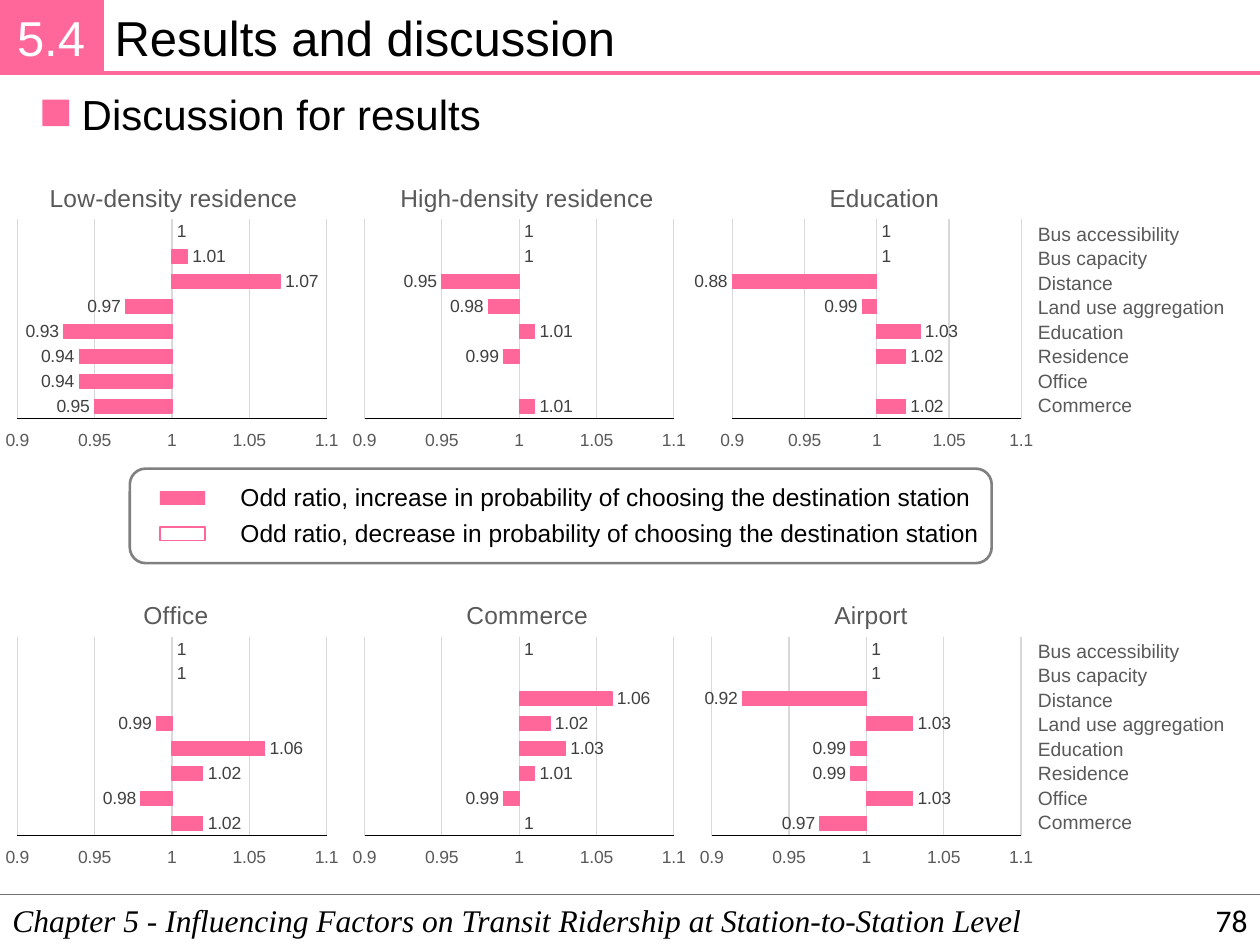
from dataclasses import dataclass
from typing import Optional

from lxml.etree import SubElement
from pptx import Presentation
from pptx.chart.data import CategoryChartData
from pptx.dml.color import RGBColor
from pptx.enum.chart import XL_CHART_TYPE, XL_LABEL_POSITION, XL_TICK_LABEL_POSITION, XL_TICK_MARK
from pptx.enum.shapes import MSO_CONNECTOR, MSO_SHAPE
from pptx.enum.text import MSO_ANCHOR, MSO_AUTO_SIZE, PP_ALIGN
from pptx.oxml.ns import qn
from pptx.util import Pt

COLORS = {
    "pink": "FF6699", "black": "000000", "white": "FFFFFF", "rule": "767171",
    "frame": "808080", "axis text": "595959", "label": "404040", "grid": "D9D9D9",
}
FACTORS = ["Bus accessibility", "Bus capacity", "Distance", "Land use aggregation",
           "Education", "Residence", "Office", "Commerce"]
CHART_WIDTH, CHART_HEIGHT = 198.6, 170
CHART_PITCH = 198.4
ROW_TOPS = (91.4, 329.8)
FACTOR_LEFT, FACTOR_OFFSET, FACTOR_PITCH = 586, 31.8, 14


@dataclass
class TextStyle:
    size: float
    color: str = "black"
    font: str = "Arial"
    italic: bool = False
    align: PP_ALIGN = PP_ALIGN.LEFT
    anchor: MSO_ANCHOR = MSO_ANCHOR.TOP
    wrap: bool = True


@dataclass
class OddsChart:
    """Odds ratios from the bottom bar up; title and plot places are shares of the chart."""
    title: str
    row: int
    column: int
    values: list[Optional[float]]
    title_left: float
    plot_left: float = 0.05
    plot_width: float = 0.89


CHARTS = [
    OddsChart("Office", 1, 0, [1.02, 0.98, 1.02, 1.06, 0.99, None, 1, 1], 0.4),
    OddsChart("Commerce", 1, 1, [1, 0.99, 1.01, 1.03, 1.02, 1.06, None, 1], 0.33),
    OddsChart("Airport", 1, 2, [0.97, 1.03, 0.99, 0.99, 1.03, 0.92, 1, 1], 0.39),
    OddsChart("Low-density residence", 0, 0, [0.95, 0.94, 0.94, 0.93, 0.97, 1.07, 1.01, 1], 0.13),
    OddsChart("High-density residence", 0, 1, [1.01, None, 0.99, 1.01, 0.98, 0.95, 1, 1], 0.14),
    OddsChart("Education", 0, 2, [1.02, None, 1.02, 1.03, 0.99, 0.88, 1, 1], 0.37, 0.1, 0.84),
]


def rgb(name: str) -> RGBColor:
    return RGBColor.from_string(COLORS[name])


def place(shape, left: float, top: float, width: float, height: float) -> None:
    shape.left, shape.top, shape.width, shape.height = Pt(left), Pt(top), Pt(width), Pt(height)


def style_font(font, size: float, color: str, name: str = "Arial") -> None:
    font.size, font.name, font.bold = Pt(size), name, False
    font.color.rgb = rgb(color)


def write(shape, text: str, style: TextStyle) -> None:
    frame = shape.text_frame
    frame.auto_size = MSO_AUTO_SIZE.NONE
    frame.word_wrap = style.wrap
    frame.vertical_anchor = style.anchor
    para = frame.paragraphs[0]
    para.alignment = style.align
    para.space_before = Pt(0)
    span = para.add_run()
    span.text = text
    style_font(span.font, style.size, style.color, style.font)
    span.font.italic = style.italic


def add_text(slide, text: str, left: float, top: float, width: float, height: float,
             style: TextStyle) -> None:
    box = slide.shapes.add_textbox(Pt(left), Pt(top), Pt(width), Pt(height))
    write(box, text, style)


def add_box(slide, left: float, top: float, width: float, height: float,
            fill: Optional[str] = None, line: Optional[str] = None,
            weight: float = 1, kind: MSO_SHAPE = MSO_SHAPE.RECTANGLE):
    box = slide.shapes.add_shape(kind, Pt(left), Pt(top), Pt(width), Pt(height))
    box.shadow.inherit = False
    if fill:
        box.fill.solid()
        box.fill.fore_color.rgb = rgb(fill)
    else:
        box.fill.background()
    if line:
        box.line.color.rgb = rgb(line)
        box.line.width = Pt(weight)
    else:
        box.line.fill.background()
    return box


def add_rule(slide, left: float, top: float, color: str, weight: float) -> None:
    """Draw a horizontal line to the right edge of the slide."""
    rule = slide.shapes.add_connector(MSO_CONNECTOR.STRAIGHT, Pt(left), Pt(top), Pt(720), Pt(top))
    rule.line.color.rgb = rgb(color)
    rule.line.width = Pt(weight)
    SubElement(rule._element.spPr, qn("a:effectLst"))


def set_layout(element, **settings) -> None:
    """Fill the c:layout of a chart title or plot area."""
    layout = element.get_or_add_layout() if hasattr(element, "get_or_add_layout") else None
    if layout is None:
        layout = element.find(qn("c:layout"))
    if layout is None:
        layout = SubElement(element, qn("c:layout"))
        element.insert(0, layout)
    manual = SubElement(layout, qn("c:manualLayout"))
    for tag, value in settings.items():
        SubElement(manual, qn(f"c:{tag}")).set("val", str(value))


def add_odds_chart(slide, item: OddsChart) -> None:
    data = CategoryChartData(number_format="General")
    data.categories = [str(number) for number in range(1, len(FACTORS) + 1)]
    data.add_series("Series 1", item.values)
    chart = slide.shapes.add_chart(
        XL_CHART_TYPE.BAR_CLUSTERED, Pt(item.column * CHART_PITCH), Pt(ROW_TOPS[item.row]),
        Pt(CHART_WIDTH), Pt(CHART_HEIGHT), data).chart
    style_font(chart.font, 10, "black")
    chart.has_legend = False

    chart.has_title = True
    span = chart.chart_title.text_frame.paragraphs[0].add_run()
    span.text = item.title
    style_font(span.font, 14, "axis text")
    set_layout(chart.chart_title._element, xMode="edge", yMode="edge", x=item.title_left, y=0.06)
    set_layout(chart._chartSpace.chart.plotArea, layoutTarget="inner", xMode="edge", yMode="edge",
               x=item.plot_left, y=0.2, w=item.plot_width, h=0.67)

    chart.category_axis.visible = False
    axis = chart.value_axis
    axis.minimum_scale, axis.maximum_scale, axis.major_unit = 0.9, 1.1, 0.05
    axis.crosses_at = 1
    axis.major_tick_mark = axis.minor_tick_mark = XL_TICK_MARK.NONE
    axis.tick_label_position = XL_TICK_LABEL_POSITION.LOW
    style_font(axis.tick_labels.font, 10, "axis text")
    for line, color in ((axis.format.line, "black"), (axis.major_gridlines.format.line, "grid")):
        line.color.rgb = rgb(color)
        line.width = Pt(0.75)

    plot = chart.plots[0]
    plot.gap_width = 80
    plot.vary_by_categories = False
    series = plot.series[0]
    series.invert_if_negative = False
    series.format.fill.solid()
    series.format.fill.fore_color.rgb = rgb("pink")
    series.format.line.color.rgb = rgb("pink")
    series.format.line.width = Pt(0.75)
    labels = series.data_labels
    labels.show_value = True
    labels.position = XL_LABEL_POSITION.OUTSIDE_END
    style_font(labels.font, 10, "label")


def add_heading(slide) -> None:
    title, body = slide.placeholders[0], slide.placeholders[1]
    place(title, 58.3, 0.7, 661.7, 41)
    write(title, "Results and discussion", TextStyle(28))
    badge = add_box(slide, 0, 0, 58.3, 41.8, "pink", "pink", 2.25)
    frame = badge.text_frame
    frame.margin_left = frame.margin_right = frame.margin_top = frame.margin_bottom = Pt(4.3)
    write(badge, "5.4", TextStyle(28, "white", align=PP_ALIGN.CENTER, anchor=MSO_ANCHOR.MIDDLE))
    add_rule(slide, 58.3, 41.8, "pink", 2.25)

    add_box(slide, 24.3, 57, 15.2, 15.2, "pink")
    place(body, 39.5, 46.8, 245, 36)
    properties = body.text_frame.paragraphs[0]._p.get_or_add_pPr()
    properties.set("marL", "0")
    properties.set("indent", "0")
    SubElement(properties, qn("a:buNone"))
    write(body, "Discussion for results", TextStyle(24, wrap=False))


def add_legend(slide) -> None:
    add_box(slide, 74.2, 267.8, 492.5, 54, line="frame", weight=1.5,
            kind=MSO_SHAPE.ROUNDED_RECTANGLE)
    entries = (("increase", "pink", None), ("decrease", None, "pink"))
    for index, (change, fill, line) in enumerate(entries):
        top = 272 + 20.3 * index
        text = f"Odd ratio, {change} in probability of choosing the destination station"
        add_text(slide, text, 130.3, top, 436, 24.2, TextStyle(14, wrap=False))
        add_box(slide, 91.4, top + 8.7, 25.9, 7.9, fill, line)


def main() -> None:
    deck = Presentation()
    deck.slide_width, deck.slide_height = Pt(720), Pt(540)
    slide = deck.slides.add_slide(deck.slide_layouts[1])
    add_heading(slide)
    add_text(slide, "Chapter 5 - Influencing Factors on Transit Ridership at Station-to-Station Level",
             0, 511.2, 720, 28.8, TextStyle(18, font="Times New Roman", italic=True))
    add_text(slide, "78", 558, 511.2, 162, 28.8,
             TextStyle(18, font="Calibri", align=PP_ALIGN.RIGHT, anchor=MSO_ANCHOR.MIDDLE))
    add_rule(slide, 0, 511.2, "rule", 1)
    for item in CHARTS:
        add_odds_chart(slide, item)
    for row_top in ROW_TOPS:
        for index, factor in enumerate(FACTORS):
            top = row_top + FACTOR_OFFSET + FACTOR_PITCH * index
            add_text(slide, factor, FACTOR_LEFT, top, 126, 20.6,
                     TextStyle(11, "axis text", wrap=False))
    add_legend(slide)
    deck.save("out.pptx")


if __name__ == "__main__":
    main()
